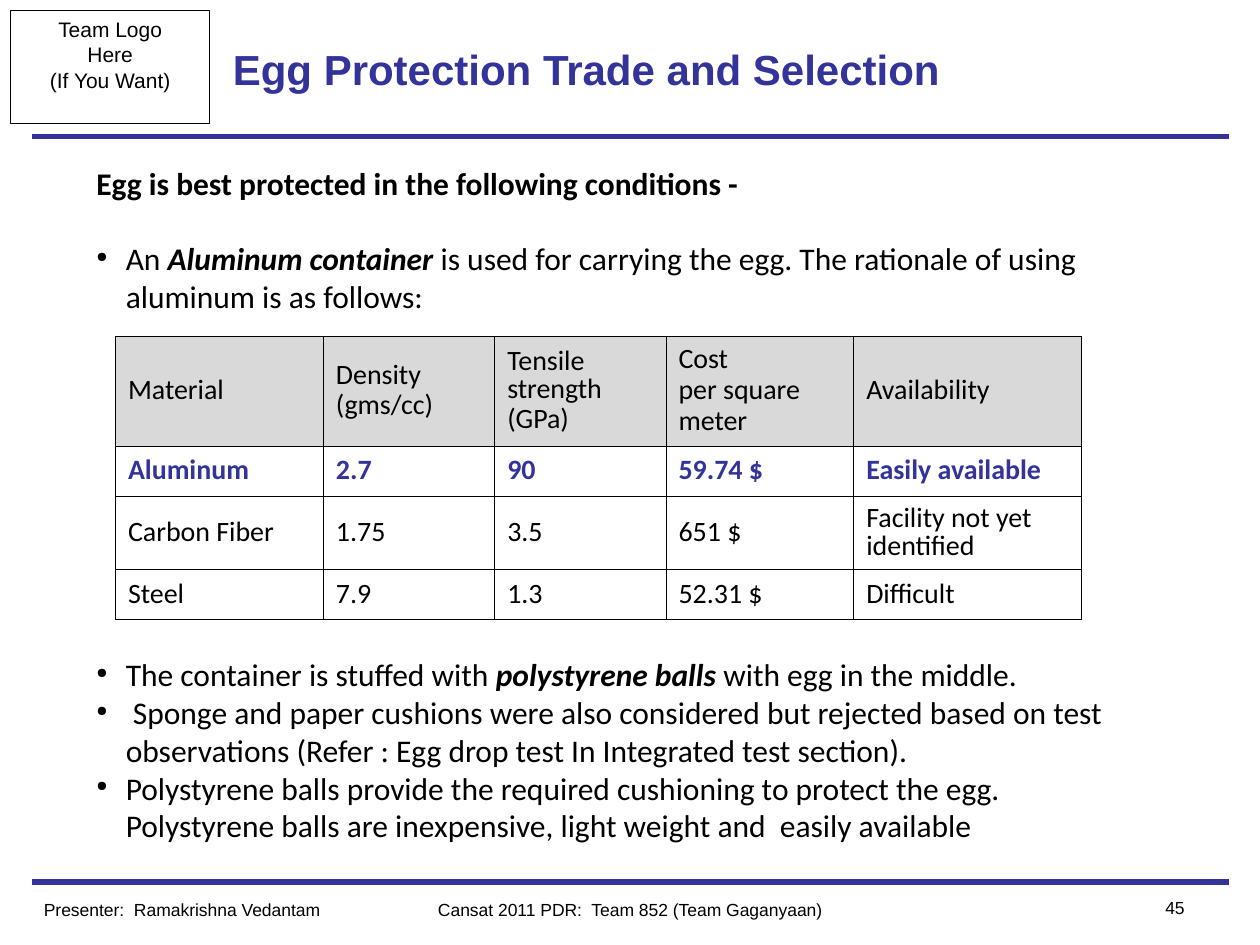
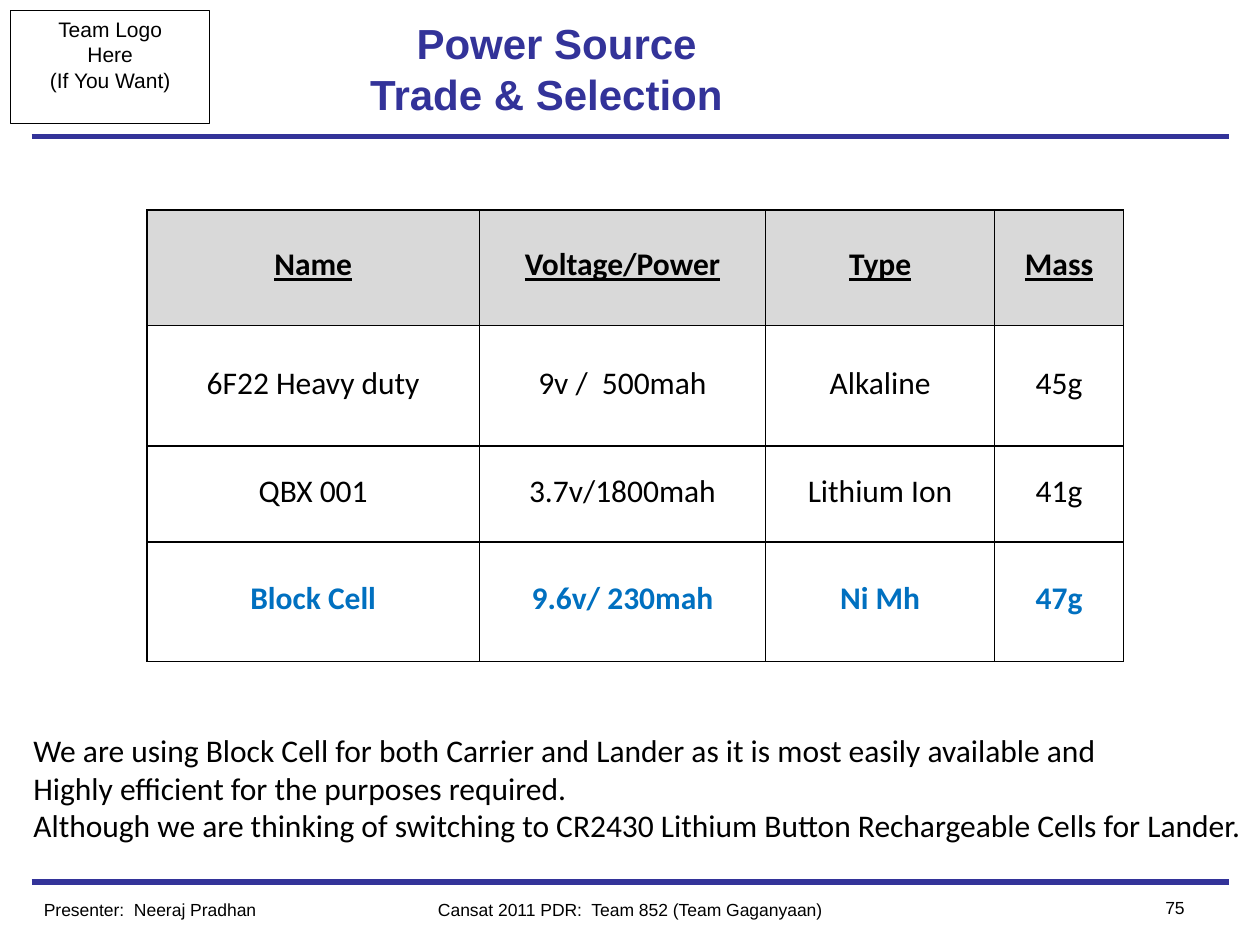
from dataclasses import dataclass

from lxml.etree import SubElement
from pptx import Presentation
from pptx.dml.color import RGBColor as Color
from pptx.enum.shapes import MSO_CONNECTOR as Connector, MSO_SHAPE as Preset
from pptx.enum.text import MSO_ANCHOR as Anchor, PP_ALIGN as Align
from pptx.oxml.ns import qn
from pptx.util import Pt


@dataclass(frozen=True)
class Theme:
    navy: str = "333399"
    blue: str = "0070C0"
    black: str = "000000"
    header_fill: str = "D9D9D9"
    frame_font: str = "Arial"
    body_font: str = "Calibri"
    title_size: int = 24
    body_size: int = 18
    table_size: int = 16
    logo_size: int = 12
    footer_size: int = 10


THEME = Theme()
BODY = {"name": THEME.body_font, "size": Pt(THEME.body_size)}
SMALL_BODY = {**BODY, "size": Pt(THEME.table_size)}
TITLE = {"name": THEME.frame_font, "size": Pt(THEME.title_size), "bold": True}
LOGO = {"name": THEME.frame_font, "size": Pt(THEME.logo_size)}
FOOTER = {**LOGO, "size": Pt(THEME.footer_size)}
STRONG = {"bold": True, "italic": True}


def set_all(target, values):
    for name, value in values.items():
        setattr(target, name, value)


def add_span(para, text, style, color=THEME.black):
    span = para.add_run()
    span.text = text
    set_all(span.font, style)
    span.font.color.rgb = Color.from_string(color)


def fill_lines(frame, lines, style, color=THEME.black, **layout):
    for index, line in enumerate(lines):
        para = frame.paragraphs[0] if index == 0 else frame.add_paragraph()
        set_all(para, layout)
        add_span(para, line, style, color)


def set_indent(para, left, first=0):
    props = para._p.get_or_add_pPr()
    props.set("marL", str(Pt(left)))
    props.set("indent", str(Pt(first)))


def add_bullet(para):
    set_indent(para, 16.8, -16.8)
    props = para._p.get_or_add_pPr()
    SubElement(props, qn("a:buSzPct"), val="45000")
    SubElement(props, qn("a:buChar"), char="●")


def add_box(page, left, top, width, height, wrap=True):
    box = page.shapes.add_textbox(Pt(left), Pt(top), Pt(width), Pt(height))
    box.text_frame.word_wrap = wrap
    return box.text_frame


def add_rule(page, top):
    rule = page.shapes.add_connector(
        Connector.STRAIGHT, Pt(18), Pt(top), Pt(702), Pt(top))
    rule.line.color.rgb = Color.from_string(THEME.navy)
    rule.line.width = Pt(3)
    SubElement(rule._element.spPr, qn("a:effectLst"))


def add_logo_frame(page):
    box = page.shapes.add_shape(
        Preset.RECTANGLE, Pt(6), Pt(6), Pt(114), Pt(64.8))
    box.shadow.inherit = False
    box.fill.background()
    box.line.color.rgb = Color.from_string(THEME.black)
    box.line.width = Pt(0.5)
    box.text_frame.vertical_anchor = Anchor.TOP
    fill_lines(box.text_frame, ["Team Logo", "Here", "(If You Want)"], LOGO,
               alignment=Align.CENTER)


def add_page(deck, title_lines, presenter, number, indents=(0,)):
    page = deck.slides.add_slide(deck.slide_layouts[6])
    for top in (504, 78):
        add_rule(page, top)
    add_logo_frame(page)

    title = add_box(page, 126, 6, 468, 66)
    title.vertical_anchor = Anchor.MIDDLE
    fill_lines(title, title_lines, TITLE, THEME.navy)
    for para, indent in zip(title.paragraphs, indents):
        set_indent(para, indent)

    footers = (
        (18, 510, 180, Align.LEFT, f"Presenter:  {presenter}"),
        (216, 510, 288, Align.CENTER,
         "Cansat 2011 PDR:  Team 852 (Team Gaganyaan)"),
        (630, 509, 54, Align.RIGHT, number),
    )
    for left, top, width, alignment, text in footers:
        fill_lines(add_box(page, left, top, width, 19.4), [text], FOOTER,
                   alignment=alignment)
    return page


def add_borders(cell, width):
    props = cell._tc.get_or_add_tcPr()
    for side in ("lnL", "lnR", "lnT", "lnB"):
        border = SubElement(props, qn(f"a:{side}"), w=str(Pt(width)))
        fill = SubElement(border, qn("a:solidFill"))
        SubElement(fill, qn("a:srgbClr"), val=THEME.black)


def add_grid(page, left, top, widths, heights, rows, style, header_style,
             chosen, chosen_color, border, top_margin, first_spacing,
             alignment=Align.LEFT):
    table = page.shapes.add_table(
        len(rows), len(widths), Pt(left), Pt(top),
        Pt(sum(widths)), Pt(sum(heights))).table
    table.horz_banding = False
    for column, width in zip(table.columns, widths):
        column.width = Pt(width)
    for row, height in zip(table.rows, heights):
        row.height = Pt(height)
    cell_format = {
        "margin_left": Pt(7.2), "margin_right": Pt(7.2),
        "margin_top": Pt(top_margin), "margin_bottom": Pt(3.6),
        "vertical_anchor": Anchor.MIDDLE,
    }
    for row_index, texts in enumerate(rows):
        span_style = {**style, "bold": row_index == chosen}
        color = chosen_color if row_index == chosen else THEME.black
        if row_index == 0:
            span_style.update(header_style)
        for column_index, text in enumerate(texts):
            cell = table.cell(row_index, column_index)
            set_all(cell, cell_format)
            add_borders(cell, border)
            if row_index == 0:
                cell.fill.solid()
                cell.fill.fore_color.rgb = Color.from_string(THEME.header_fill)
            else:
                cell.fill.background()
            fill_lines(cell.text_frame, text.split("\n"), span_style, color,
                       alignment=alignment, line_spacing=0.91)
            cell.text_frame.paragraphs[0].line_spacing = first_spacing


def add_egg_page(deck):
    page = add_page(deck, ["Egg Protection Trade and Selection"],
                    "Ramakrishna Vedantam", "45")
    frame = add_box(page, 48, 90, 618, 403)
    fill_lines(frame, ["Egg is best protected in the following conditions -"],
               {**BODY, "bold": True})
    bullets = (
        (21.6, (("An ", {}), ("Aluminum container", STRONG),
                (" is used for carrying the egg. The rationale of using "
                 "aluminum is as follows:", {}))),
        (194.4, (("The container is stuffed with", {}),
                 (" polystyrene balls ", STRONG),
                 ("with egg in the middle.", {}))),
        (0, ((" Sponge and paper cushions were also considered but rejected "
              "based on test observations (Refer : Egg drop test In "
              "Integrated test section).", {}),)),
        (0, (("Polystyrene balls provide the required cushioning to protect "
              "the egg. Polystyrene balls are inexpensive, light weight and  "
              "easily available", {}),)),
    )
    for space, spans in bullets:
        para = frame.add_paragraph()
        add_bullet(para)
        para.space_before = Pt(space)
        for text, emphasis in spans:
            add_span(para, text, {**BODY, **emphasis})

    rows = (
        ("Material", "Density\n(gms/cc)", "Tensile strength\n(GPa)",
         "Cost\nper square meter", "Availability"),
        ("Aluminum", "2.7", "90", "59.74 $", "Easily available"),
        ("Carbon Fiber", "1.75", "3.5", "651 $", "Facility not yet identified"),
        ("Steel", "7.9", "1.3", "52.31 $", "Difficult"),
    )
    add_grid(page, 66, 192, (118.8, 97.9, 97.9, 107.3, 130.3),
             (63, 28.4, 42, 28.4), rows, SMALL_BODY, {}, chosen=1,
             chosen_color=THEME.navy, border=0.45, top_margin=4.3,
             first_spacing=0.8)


def add_power_page(deck):
    page = add_page(deck, ["Power Source", "Trade & Selection"],
                    "Neeraj Pradhan", "75", indents=(105, 78.5))
    rows = (
        ("Name", "Voltage/Power", "Type", "Mass"),
        ("6F22 Heavy duty", "9v /  500mah", "Alkaline", "45g"),
        ("QBX 001", "3.7v/1800mah", "Lithium Ion", "41g"),
        ("Block Cell", "9.6v/ 230mah", "Ni Mh", "47g"),
    )
    add_grid(page, 84, 120, (190, 163.5, 131, 73.5), (66, 69, 54.7, 68.4),
             rows, BODY, {"bold": True, "underline": True}, chosen=3,
             chosen_color=THEME.blue, border=1, top_margin=2.2,
             first_spacing=0.82, alignment=Align.CENTER)
    choice = add_box(page, 12, 414, 706, 72.7, wrap=False)
    fill_lines(choice, [
        "We are using Block Cell for both Carrier and Lander as it is most "
        "easily available and",
        "Highly efficient for the purposes required.",
        "Although we are thinking of switching to CR2430 Lithium Button "
        "Rechargeable Cells for Lander.",
    ], BODY)


def main():
    deck = Presentation()
    set_all(deck, {"slide_width": Pt(720), "slide_height": Pt(540)})
    add_egg_page(deck)
    add_power_page(deck)
    deck.save("out.pptx")


if __name__ == "__main__":
    main()
